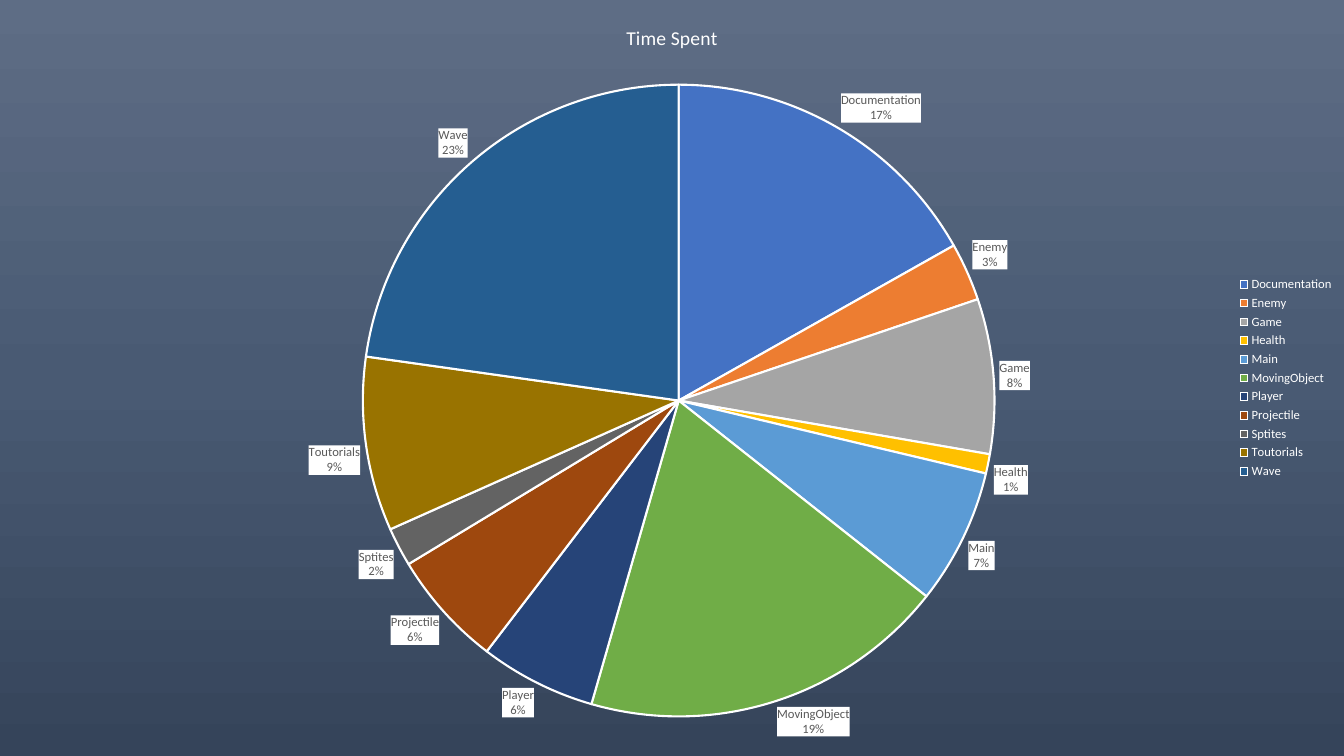
from dataclasses import dataclass

from copy import deepcopy
from lxml.etree import SubElement
from pptx import Presentation
from pptx.chart.chart import Chart
from pptx.chart.data import CategoryChartData as ChartData
from pptx.dml.color import RGBColor
from pptx.enum.chart import (
    XL_CHART_TYPE as ChartType,
    XL_LABEL_POSITION as LabelPosition,
    XL_LEGEND_POSITION as LegendPosition,
)
from pptx.oxml import parse_xml
from pptx.oxml.ns import nsdecls, qn
from pptx.slide import Slide
from pptx.text.text import Font
from pptx.util import Cm, Pt

FONT = "Calibri"
WHITE = "FFFFFF"
LABEL_GRAY = "595959"


@dataclass(frozen=True)
class Task:
    name: str
    share: int
    color: str


@dataclass(frozen=True)
class Stop:
    position: float
    color: str


TASKS = [
    Task("Documentation", 17, "4472C4"),
    Task("Enemy", 3, "ED7D31"),
    Task("Game", 8, "A5A5A5"),
    Task("Health", 1, "FFC000"),
    Task("Main", 7, "5B9BD5"),
    Task("MovingObject", 19, "70AD47"),
    Task("Player", 6, "264478"),
    Task("Projectile", 6, "9E480E"),
    Task("Sptites", 2, "636363"),
    Task("Toutorials", 9, "997300"),
    Task("Wave", 23, "255E91"),
]
BACKDROP = [Stop(0, "5E6D85"), Stop(0.5, "495A73"), Stop(1, "35445A")]
PIE_AREA = {"x": 0.27, "y": 0.11, "w": 0.47, "h": 0.84}


def rgb(color: str) -> RGBColor:
    return RGBColor.from_string(color)


def style_font(font: Font, size: float, color: str) -> None:
    font.name = FONT
    font.size = Pt(size)
    font.bold = False
    font.color.rgb = rgb(color)


def paint_backdrop(slide: Slide) -> None:
    fill = slide.background.fill
    fill.gradient()
    fill.gradient_angle = 270
    stop_list = next(slide.element.iter(qn("a:gsLst")))
    stop_list.insert(1, deepcopy(stop_list[0]))
    for gradient_stop, stop in zip(fill.gradient_stops, BACKDROP):
        gradient_stop.position = stop.position
        gradient_stop.color.rgb = rgb(stop.color)


def add_title(chart: Chart, text: str) -> None:
    chart.has_title = True
    title = chart.chart_title
    title.include_in_layout = False
    run = title.text_frame.paragraphs[0].add_run()
    run.text = text
    style_font(run.font, 14, WHITE)


def add_legend(chart: Chart) -> None:
    chart.has_legend = True
    chart.legend.position = LegendPosition.RIGHT
    chart.legend.include_in_layout = True
    style_font(chart.legend.font, 9, WHITE)


def place_pie(chart: Chart) -> None:
    plot_area = next(chart.element.iter(qn("c:plotArea")))
    for old_layout in plot_area.findall(qn("c:layout")):
        plot_area.remove(old_layout)
    layout = parse_xml(f"<c:layout {nsdecls('c')}/>")
    manual = SubElement(layout, qn("c:manualLayout"))
    SubElement(manual, qn("c:layoutTarget")).set("val", "inner")
    for side in ("x", "y"):
        SubElement(manual, qn(f"c:{side}Mode")).set("val", "edge")
    for side, share in PIE_AREA.items():
        SubElement(manual, qn(f"c:{side}")).set("val", str(share))
    plot_area.insert(0, layout)


def label_slices(chart: Chart) -> None:
    labels = chart.plots[0].series[0].data_labels
    style_font(labels.font, 9, LABEL_GRAY)
    labels.number_format = "0%"
    labels.number_format_is_linked = False
    labels.position = LabelPosition.OUTSIDE_END
    labels.show_value = False
    labels.show_category_name = True
    labels.show_percentage = True
    element = next(chart.element.iter(qn("c:dLbls")))
    element.find(qn("c:txPr")).addprevious(parse_xml(
        f"<c:spPr {nsdecls('c', 'a')}><a:solidFill>"
        f'<a:srgbClr val="{WHITE}"/></a:solidFill></c:spPr>'
    ))
    separator = parse_xml(f"<c:separator {nsdecls('c')}>\n</c:separator>")
    element.find(qn("c:showPercent")).addnext(separator)
    bubble_size = element.find(qn("c:showBubbleSize"))
    if bubble_size is not None:
        bubble_size.addnext(separator)


def color_slices(chart: Chart) -> None:
    series = chart.plots[0].series[0]
    for index, task in enumerate(TASKS):
        piece = series.points[index].format
        piece.fill.solid()
        piece.fill.fore_color.rgb = rgb(task.color)
        piece.line.color.rgb = rgb(WHITE)
        piece.line.width = Pt(1.5)


def add_time_chart(slide: Slide, width: int, height: int) -> None:
    data = ChartData()
    data.categories = [task.name for task in TASKS]
    data.add_series("Series 1", [task.share for task in TASKS])
    chart = slide.shapes.add_chart(ChartType.PIE, 0, 0, width, height, data).chart
    style_font(chart.font, 10, WHITE)
    chart.plots[0].vary_by_categories = True
    add_title(chart, "Time Spent")
    add_legend(chart)
    place_pie(chart)
    color_slices(chart)
    label_slices(chart)


def main() -> None:
    deck = Presentation()
    deck.slide_width = Cm(33.87)
    deck.slide_height = Cm(19.05)
    slide = deck.slides.add_slide(deck.slide_layouts[6])
    paint_backdrop(slide)
    add_time_chart(slide, deck.slide_width, deck.slide_height)
    deck.save("out.pptx")


if __name__ == "__main__":
    main()
